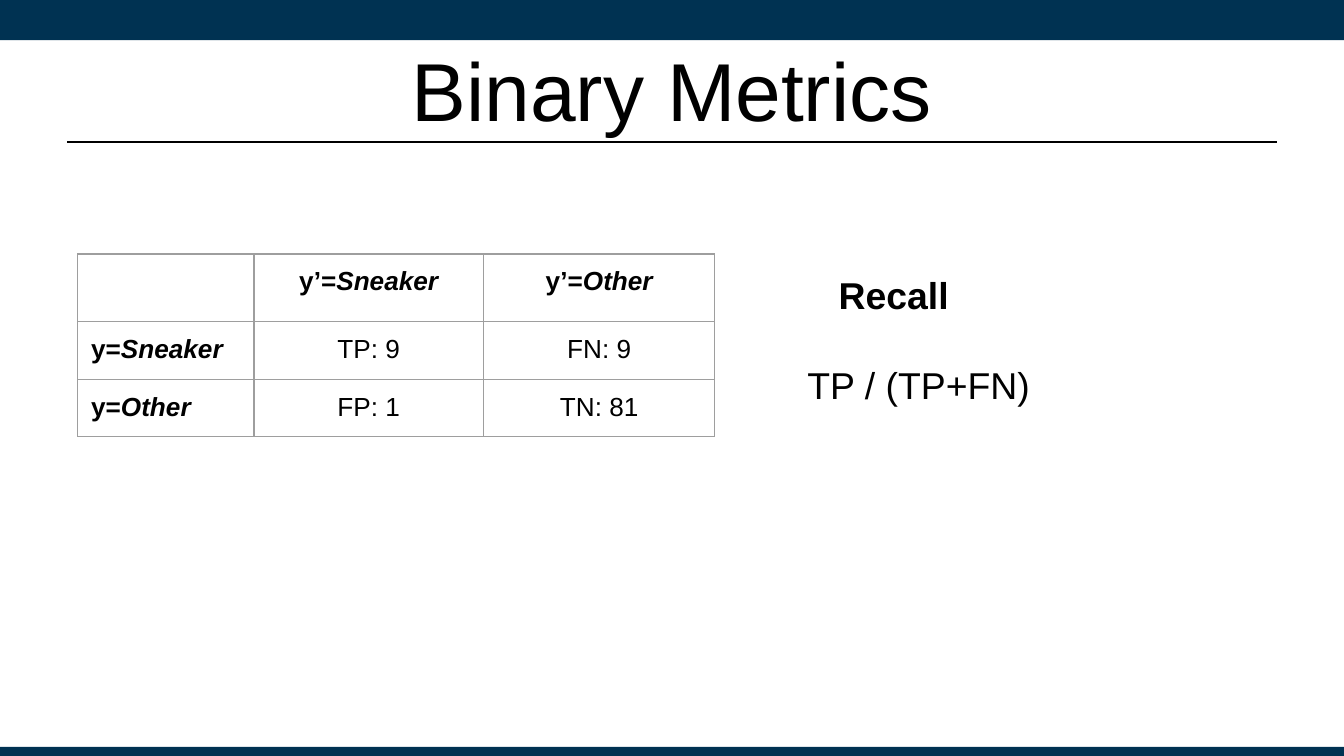
from lxml.etree import SubElement
from pptx import Presentation
from pptx.dml.color import RGBColor
from pptx.enum.shapes import MSO_CONNECTOR, MSO_SHAPE
from pptx.enum.text import MSO_ANCHOR, MSO_AUTO_SIZE, PP_ALIGN
from pptx.oxml import parse_xml
from pptx.oxml.ns import nsdecls, qn
from pptx.util import Cm, Pt

NAVY = RGBColor(0x00, 0x32, 0x52)
BLACK = RGBColor(0x00, 0x00, 0x00)
GREY = RGBColor(0x9E, 0x9E, 0x9E)
FONT = "Arial"
WIDTH, HEIGHT = Cm(25.4), Cm(14.29)
INSET = Cm(0.25)

COLUMN_WIDTHS = (Cm(3.33), Cm(4.34), Cm(4.37))
ROW_HEIGHTS = (Cm(1.23), Cm(1.09), Cm(1.09))
# Each cell holds an upright part and an italic class name.
CONFUSION_MATRIX = (
    (("", ""), ("y’=", "Sneaker"), ("y’=", "Other")),
    (("y=", "Sneaker"), ("TP: 9", ""), ("FN: 9", "")),
    (("y=", "Other"), ("FP: 1", ""), ("TN: 81", "")),
)


def format_run(run, size, bold=False, italic=False):
    run.font.name = FONT
    run.font.size = Pt(size)
    run.font.bold = bold
    run.font.italic = italic
    run.font.color.rgb = BLACK


def set_insets(frame):
    frame.margin_left = frame.margin_right = INSET
    frame.margin_top = frame.margin_bottom = INSET


def add_bar(slide, left, top, width, height):
    bar = slide.shapes.add_shape(MSO_SHAPE.RECTANGLE, left, top, width, height)
    bar.shadow.inherit = False
    bar.fill.solid()
    bar.fill.fore_color.rgb = NAVY
    bar.line.fill.background()


def add_title(slide, left, top, width, height):
    title = slide.shapes.title
    title.left, title.top, title.width, title.height = left, top, width, height
    frame = title.text_frame
    frame.text = "Binary Metrics"
    frame.auto_size = MSO_AUTO_SIZE.NONE
    frame.vertical_anchor = MSO_ANCHOR.MIDDLE
    frame.paragraphs[0].alignment = PP_ALIGN.CENTER
    format_run(frame.paragraphs[0].runs[0], 44)

    rule_top = top + Cm(2.21)
    rule = slide.shapes.add_connector(
        MSO_CONNECTOR.STRAIGHT, left, rule_top, left + width, rule_top)
    rule.line.color.rgb = BLACK
    rule.line.width = Pt(1.25)
    SubElement(rule._element.spPr, qn("a:effectLst"))


def set_borders(cell):
    properties = cell._tc.get_or_add_tcPr()
    for index, side in enumerate(("lnL", "lnR", "lnT", "lnB")):
        properties.insert(index, parse_xml(
            f'<a:{side} {nsdecls("a")} w="{Pt(0.75)}"><a:solidFill>'
            f'<a:srgbClr val="{GREY}"/></a:solidFill></a:{side}>'))


def add_confusion_matrix(slide, left, top):
    table = slide.shapes.add_table(
        len(ROW_HEIGHTS), len(COLUMN_WIDTHS), left, top,
        sum(COLUMN_WIDTHS), sum(ROW_HEIGHTS)).table
    table.first_row = table.horz_banding = False
    for column, width in zip(table.columns, COLUMN_WIDTHS):
        column.width = width
    for row, height, entries in zip(table.rows, ROW_HEIGHTS, CONFUSION_MATRIX):
        row.height = height
        for index, (cell, (label, name)) in enumerate(zip(row.cells, entries)):
            cell.fill.background()
            set_borders(cell)
            set_insets(cell)
            paragraph = cell.text_frame.paragraphs[0]
            if index > 0:
                paragraph.alignment = PP_ALIGN.CENTER
            for text, italic in ((label, False), (name, True)):
                if text:
                    run = paragraph.add_run()
                    run.text = text
                    format_run(run, 14, bold=bool(name), italic=italic)


def add_text(slide, text, left, top, width, height, bold=False):
    frame = slide.shapes.add_textbox(left, top, width, height).text_frame
    frame.word_wrap = True
    set_insets(frame)
    frame.text = text
    format_run(frame.paragraphs[0].runs[0], 20, bold)


def add_recall(slide, left, top, width):
    height = Cm(1.37)
    indent = Cm(0.59)
    add_text(slide, "Recall", left + indent, top, width - indent, height, bold=True)
    add_text(slide, "TP / (TP+FN)", left, top + Cm(1.7), width, height)


def main():
    presentation = Presentation()
    presentation.slide_width, presentation.slide_height = WIDTH, HEIGHT
    slide = presentation.slides.add_slide(presentation.slide_layouts[5])
    add_bar(slide, 0, 0, WIDTH, Cm(0.76))
    add_bar(slide, 0, HEIGHT - Cm(0.17), WIDTH, Cm(0.17))
    add_title(slide, Cm(1.27), Cm(0.48), Cm(22.86), Cm(2.39))
    add_confusion_matrix(slide, Cm(1.47), Cm(4.8))
    add_recall(slide, Cm(15.01), Cm(4.9), Cm(9.42))
    presentation.save("out.pptx")


if __name__ == "__main__":
    main()
